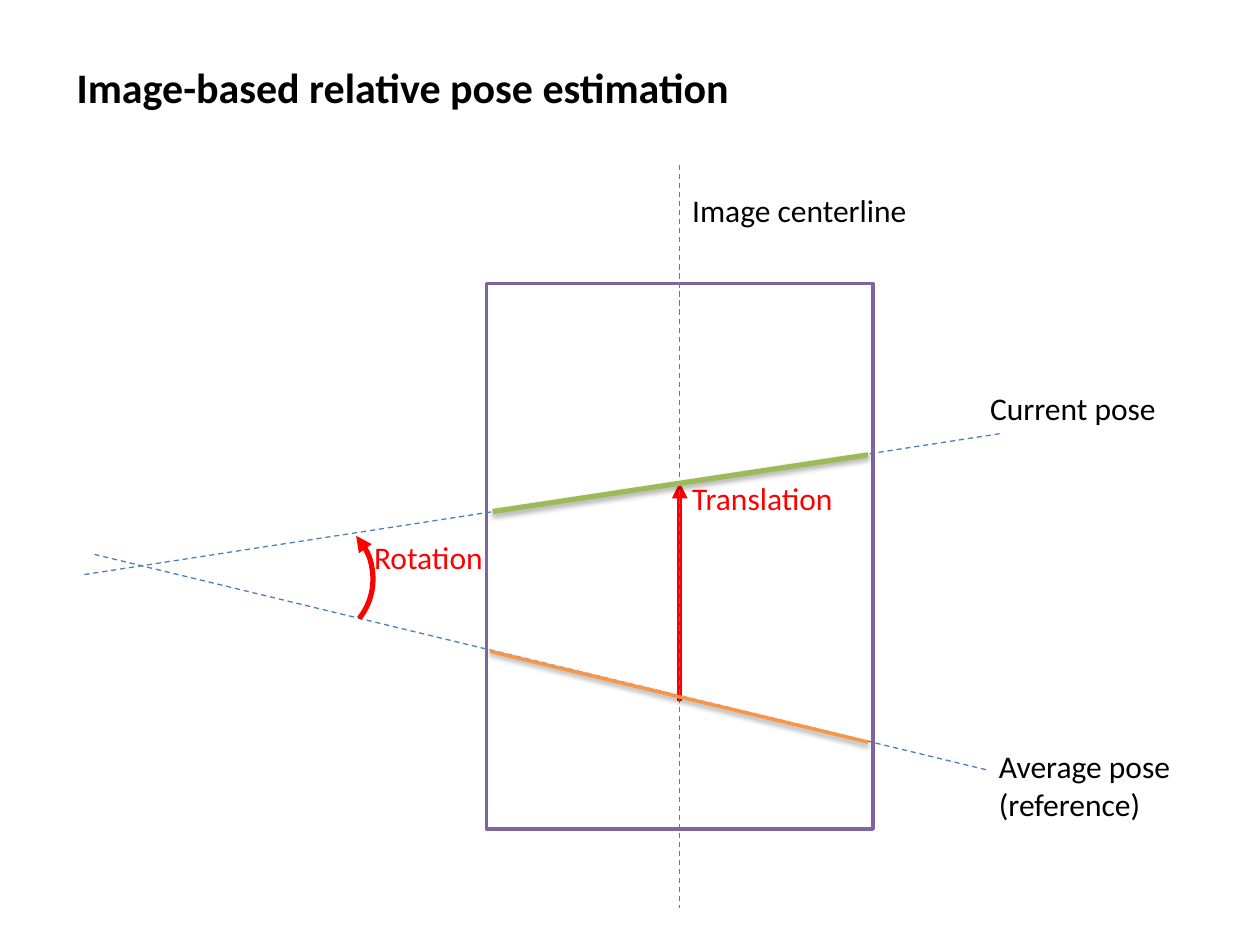
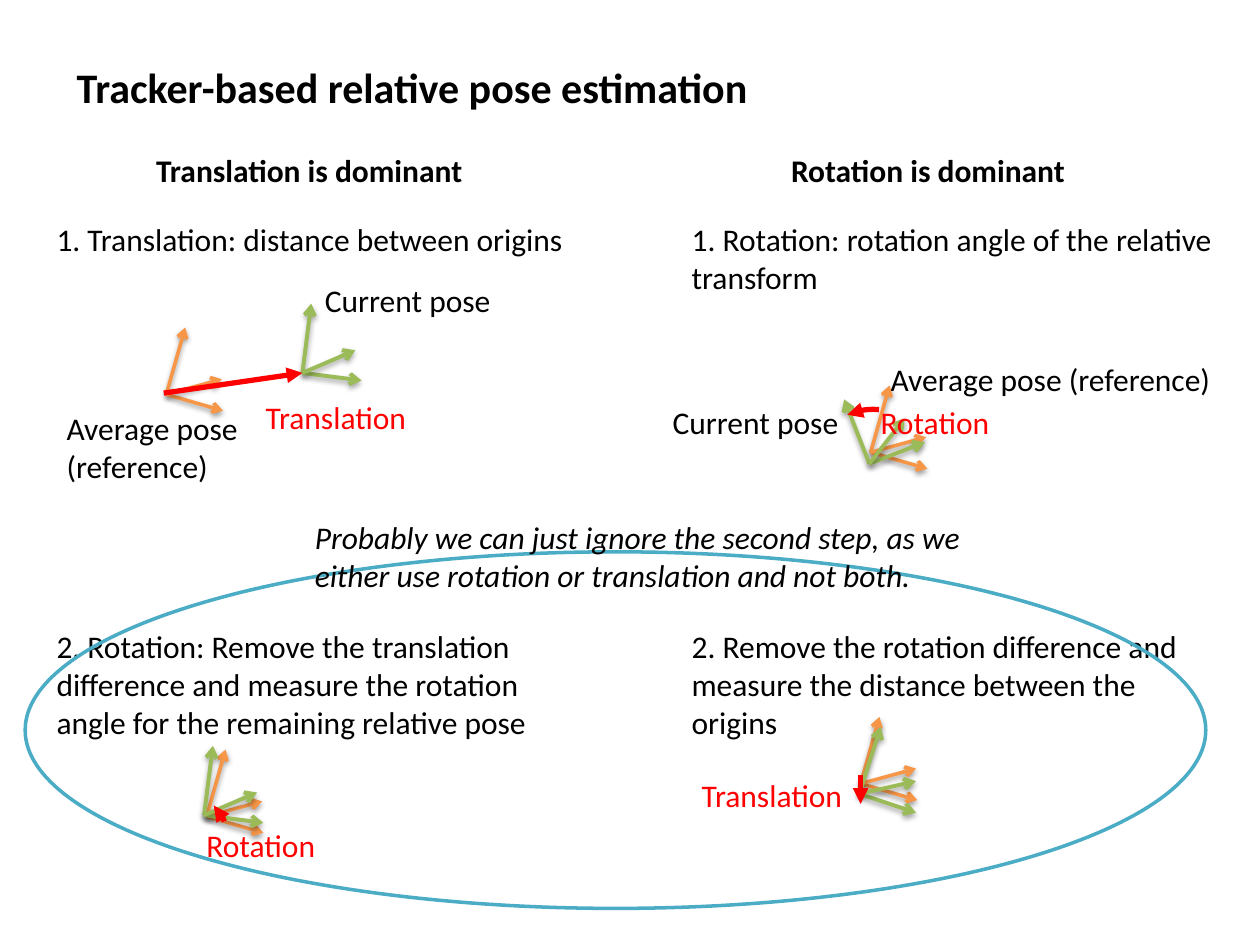
from lxml import etree
from pptx import Presentation
from pptx.dml.color import RGBColor
from pptx.enum.dml import MSO_LINE_DASH_STYLE
from pptx.enum.shapes import MSO_CONNECTOR, MSO_SHAPE
from pptx.enum.text import MSO_AUTO_SIZE
from pptx.oxml.ns import qn
from pptx.util import Inches, Pt

STRAIGHT = MSO_CONNECTOR.STRAIGHT
ARC, ELLIPSE, RECTANGLE = MSO_SHAPE.ARC, MSO_SHAPE.OVAL, MSO_SHAPE.RECTANGLE
DASH = MSO_LINE_DASH_STYLE.DASH
GROW = MSO_AUTO_SIZE.SHAPE_TO_FIT_TEXT

BLACK = RGBColor(0x00, 0x00, 0x00)
WHITE = RGBColor(0xFF, 0xFF, 0xFF)
RED = RGBColor(0xFF, 0x00, 0x00)
BLUE = RGBColor(0x4B, 0x7E, 0xBC)
GREEN = RGBColor(0x9B, 0xBB, 0x59)
ORANGE = RGBColor(0xF7, 0x96, 0x46)
PURPLE = RGBColor(0x80, 0x64, 0xA2)
TEAL = RGBColor(0x4B, 0xAC, 0xC6)

FONT = "Calibri"
LINE_HEIGHT = 0.31
LABEL_WIDTH = 1.89
COLUMN_WIDTH = 4.41
COLUMN_LEFTS = (0.35, 5.39)
HEADING_TOP, FIRST_STEP_TOP, SECOND_STEP_TOP = 1.15, 1.7, 4.93
ARC_SIZE = (0.94, 0.98)

GUIDE = {"color": BLUE, "width": 0.75, "dash": DASH}
MOTION = {"color": RED, "width": 3}
# Shadow values: opacity in percent, distance in points
AVERAGE = {"color": ORANGE, "width": 2, "shadow": (38, 1.6)}
CURRENT = {"color": GREEN, "width": 2.25, "shadow": (35, 1.8)}

# Axis tips of a coordinate frame, measured from its origin
AVERAGE_AXES = ((0.15, -0.53), (0.45, 0.13), (0.44, -0.12))
SHIFTED_AXES = ((0.07, -0.55), (0.47, 0.06), (0.42, -0.18))
TURNED_AXES = ((-0.2, -0.51), (0.44, -0.17), (0.28, -0.36))
ALIGNED_AXES = ((0.17, -0.53), (0.45, 0.15), (0.45, -0.1))


def add_text(slide, left, top, width, text, lines=1, color=BLACK, **font_format):
    height = 0.09 + LINE_HEIGHT * lines
    box = slide.shapes.add_textbox(Inches(left), Inches(top), Inches(width), Inches(height))
    frame = box.text_frame
    frame.word_wrap = True
    frame.auto_size = GROW
    frame.text = text
    for paragraph in frame.paragraphs:
        for name, value in {"name": FONT, "size": Pt(18), **font_format}.items():
            setattr(paragraph.font, name, value)
        paragraph.font.color.rgb = color


def add_label(slide, left, top, text, color=BLACK, width=LABEL_WIDTH):
    add_text(slide, left, top, width, text, 1 + text.count("\n"), color)


def add_title(slide, text):
    add_text(slide, 0.51, 0.44, 5.98, text, size=Pt(24), bold=True)


def style_line(shape, color, width, dash=None, head=None, tail=None):
    shape.line.color.rgb = color
    shape.line.width = Pt(width)
    if dash:
        shape.line.dash_style = dash
    line = shape._element.spPr.find(qn("a:ln"))
    for tag, kind in (("a:headEnd", head), ("a:tailEnd", tail)):
        if kind:
            etree.SubElement(line, qn(tag), type=kind)


def add_line(shapes, start, end, shadow=None, **line_format):
    points = [Inches(value) for value in (*start, *end)]
    connector = shapes.add_connector(STRAIGHT, *points)
    style_line(connector, **line_format)
    effects = etree.SubElement(connector._element.spPr, qn("a:effectLst"))
    if shadow:
        opacity, distance = shadow
        outer = etree.SubElement(
            effects, qn("a:outerShdw"), blurRad=str(Pt(3.1)), dist=str(Pt(distance)),
            dir="5400000", rotWithShape="0")
        shadow_color = etree.SubElement(outer, qn("a:srgbClr"), val=str(BLACK))
        etree.SubElement(shadow_color, qn("a:alpha"), val=str(opacity * 1000))


def add_outline(slide, kind, left, top, width, height, line_format, fill=None):
    shape = slide.shapes.add_shape(
        kind, Inches(left), Inches(top), Inches(width), Inches(height))
    shape.shadow.inherit = False
    if fill is None:
        shape.fill.background()
    else:
        shape.fill.solid()
        shape.fill.fore_color.rgb = fill
    style_line(shape, **line_format)
    return shape


def add_rotation_arc(slide, left, top, rotation, start, end):
    arc = add_outline(slide, ARC, left, top, *ARC_SIZE, {**MOTION, "head": "triangle"})
    arc.rotation = rotation
    arc.adjustments[0] = start
    arc.adjustments[1] = end


def add_coordinate_frame(slide, x, y, axes, pose):
    group = slide.shapes.add_group_shape()
    for dx, dy in axes:
        add_line(group.shapes, (x, y), (x + dx, y + dy), tail="arrow", **pose)


def add_image_diagram(slide, left, top, width, height):
    """Camera image with both poses, their extensions and the differences."""
    shapes = slide.shapes
    center, right = left + width / 2, left + width
    add_outline(slide, RECTANGLE, left, top, width, height,
                {"color": PURPLE, "width": 2}, WHITE)
    add_line(shapes, (left - 3.11, top + 2.15), (right + 0.9, top + 3.86), **GUIDE)
    add_label(slide, right + 0.9, top + 3.63, "Average pose\n(reference)")
    add_line(shapes, (left - 3.19, top + 2.31), (right + 1.02, top + 1.19), **GUIDE)
    add_line(shapes, (center, top + 3.31), (center, top + 1.58), tail="triangle", **MOTION)
    add_label(slide, center, top + 1.5, "Translation", RED)
    add_rotation_arc(slide, left - 1.84, top + 1.85, 351.1, 194.363, 30.145)
    add_label(slide, left - 0.99, top + 1.97, "Rotation", RED)
    add_line(shapes, (center, top - 0.94), (center, top + height + 0.63), **GUIDE)
    add_label(slide, center, top - 0.78, "Image centerline", width=2.52)
    add_label(slide, right + 0.83, top + 0.79, "Current pose")
    add_line(shapes, (left + 0.05, top + 1.81), (right - 0.04, top + 1.36),
             **{**CURRENT, "width": 3})
    add_line(shapes, (left + 0.03, top + 2.92), (right - 0.04, top + 3.64), **AVERAGE)


def add_step(slide, left, top, text, lines):
    add_text(slide, left, top, COLUMN_WIDTH, text, lines)


def add_heading(slide, left, text):
    add_text(slide, left + 0.79, HEADING_TOP, 2.76, text, bold=True)


def add_origin_distance(slide, left, top):
    add_step(slide, left, top, "1. Translation: distance between origins", 1)
    add_label(slide, left + 0.08, top + 1.5, "Average pose\n(reference)")
    add_label(slide, left + 2.13, top + 0.48, "Current pose")
    add_coordinate_frame(slide, left + 0.97, top + 1.43, AVERAGE_AXES, AVERAGE)
    add_coordinate_frame(slide, left + 2.05, top + 1.26, SHIFTED_AXES, CURRENT)
    add_line(slide.shapes, (left + 0.95, top + 1.42), (left + 2.05, top + 1.26),
             tail="triangle", **MOTION)
    add_label(slide, left + 1.66, top + 1.41, "Translation", RED)


def add_remaining_rotation(slide, left, top):
    add_coordinate_frame(slide, left + 1.29, top + 1.55, AVERAGE_AXES, AVERAGE)
    add_coordinate_frame(slide, left + 1.27, top + 1.54, SHIFTED_AXES, CURRENT)
    add_rotation_arc(slide, left + 0.54, top + 1.31, 351.1, 194.363, 205.447)
    add_label(slide, left + 1.19, top + 1.58, "Rotation", RED)
    add_step(slide, left, top, "2. Rotation: Remove the translation difference and measure "
             "the rotation angle for the remaining relative pose", 3)


def add_rotation_angle(slide, left, top):
    add_step(slide, left, top, "1. Rotation: rotation angle of the relative transform", 2)
    add_label(slide, left + 1.58, top + 1.11, "Average pose (reference)", width=2.83)
    add_label(slide, left - 0.15, top + 1.45, "Current pose")
    add_coordinate_frame(slide, left + 1.52, top + 1.89, AVERAGE_AXES, AVERAGE)
    add_coordinate_frame(slide, left + 1.51, top + 1.98, TURNED_AXES, CURRENT)
    add_rotation_arc(slide, left + 1.06, top + 1.53, 256.7, 209.281, 12.082)
    add_label(slide, left + 1.5, top + 1.45, "Rotation", RED)


def add_remaining_distance(slide, left, top):
    add_label(slide, left + 0.08, top + 1.18, "Translation", RED)
    add_step(slide, left, top, "2. Remove the rotation difference and measure "
             "the distance between the origins", 3)
    add_coordinate_frame(slide, left + 1.44, top + 1.29, AVERAGE_AXES, AVERAGE)
    add_coordinate_frame(slide, left + 1.43, top + 1.37, ALIGNED_AXES, CURRENT)
    add_line(slide.shapes, (left + 1.44, top + 1.22), (left + 1.44, top + 1.45),
             tail="triangle", **MOTION)


def add_second_step_remark(slide, left, top, width, height):
    add_outline(slide, ELLIPSE, left, top, width, height, {"color": TEAL, "width": 2})
    add_text(slide, left + 2.2, top - 0.32, 5.83,
             "Probably we can just ignore the second step, as we either use "
             "rotation or translation and not both.", 2, italic=True)


def build_image_slide(slide):
    add_title(slide, "Image-based relative pose estimation")
    add_image_diagram(slide, 3.86, 2.25, 3.07, 4.33)


def build_tracker_slide(slide):
    add_title(slide, "Tracker-based relative pose estimation")
    columns = (
        ("Translation is dominant", add_origin_distance, add_remaining_rotation),
        ("Rotation is dominant", add_rotation_angle, add_remaining_distance),
    )
    for left, (heading, add_first_step, add_second_step) in zip(COLUMN_LEFTS, columns):
        add_heading(slide, left, heading)
        add_first_step(slide, left, FIRST_STEP_TOP)
        add_second_step(slide, left, SECOND_STEP_TOP)
    add_second_step_remark(slide, 0.2, 4.38, 9.37, 2.83)


def main():
    presentation = Presentation()
    presentation.slide_width = Inches(10)
    presentation.slide_height = Inches(7.5)
    blank_layout = presentation.slide_layouts[6]
    for build_slide in (build_image_slide, build_tracker_slide):
        build_slide(presentation.slides.add_slide(blank_layout))
    presentation.save("out.pptx")


if __name__ == "__main__":
    main()
